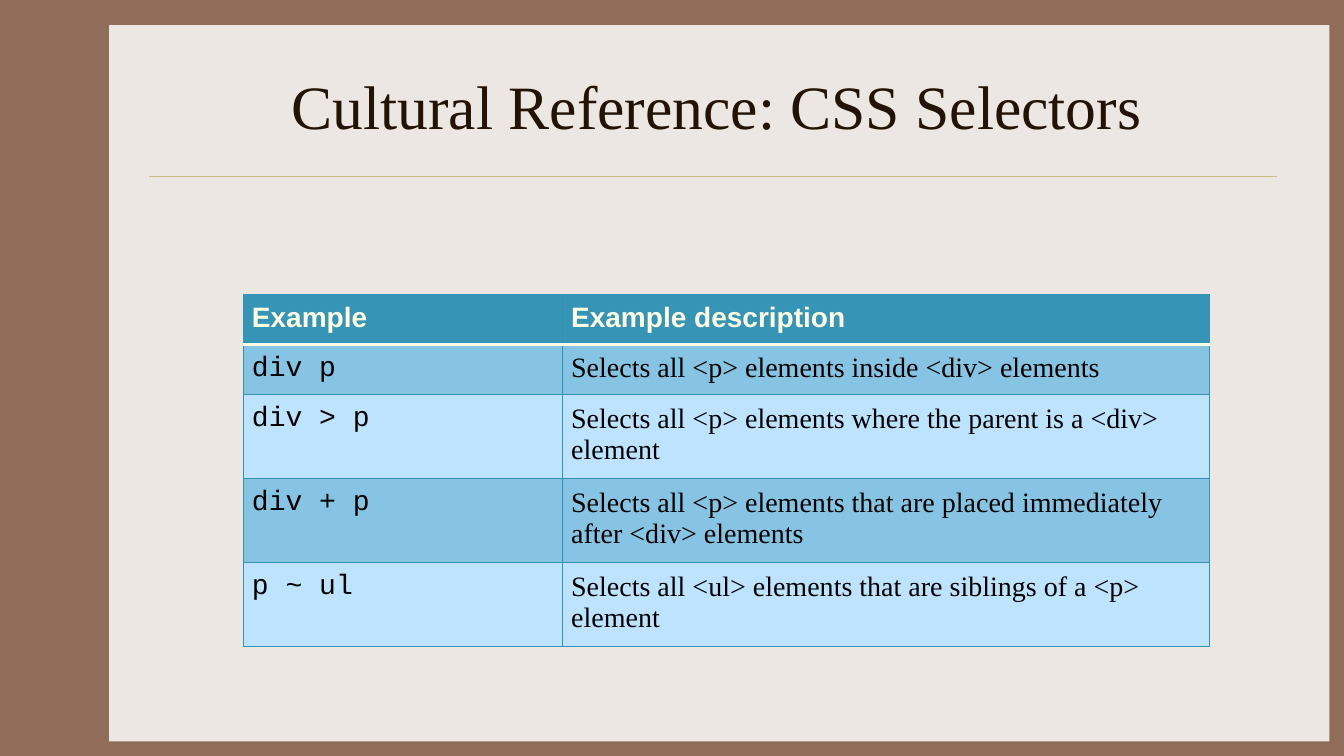
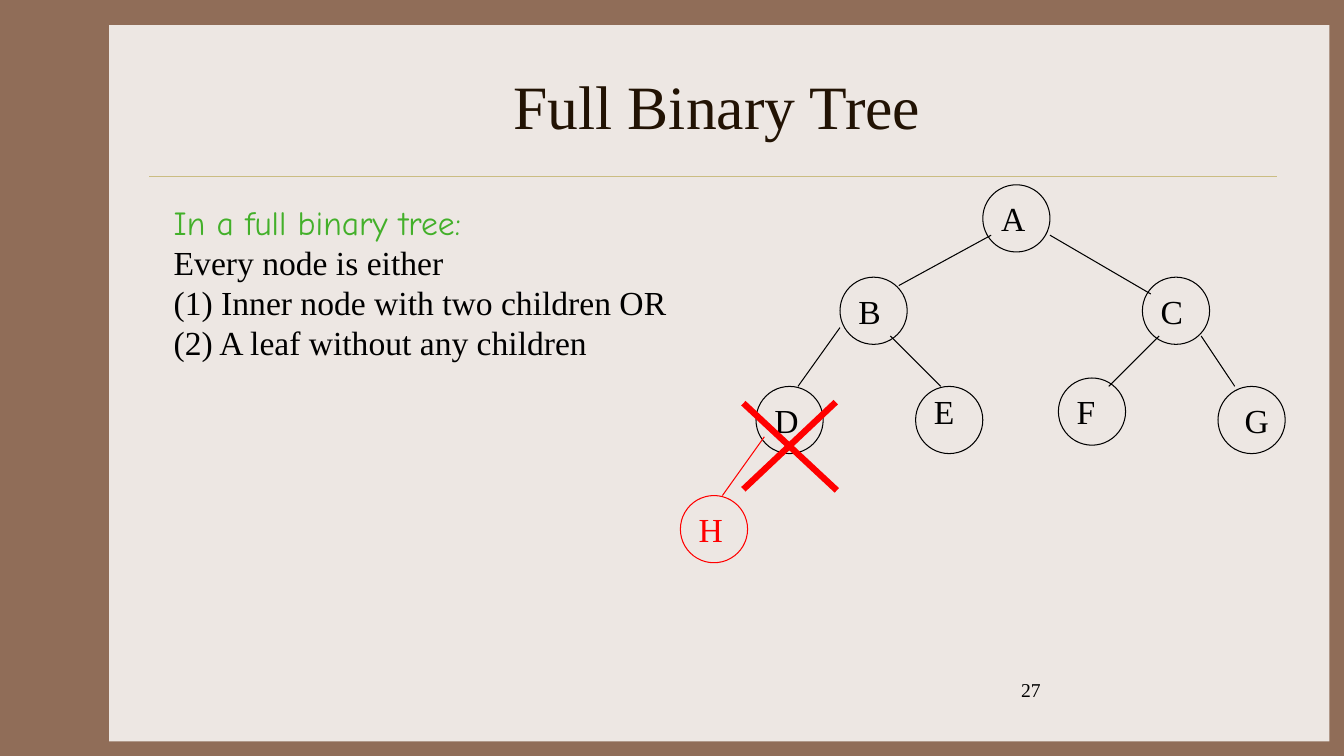
"""Builds two lecture slides: a table of CSS selectors and a full binary tree."""
from lxml import etree
from pptx import Presentation
from pptx.dml.color import RGBColor
from pptx.enum.shapes import MSO_CONNECTOR as Connector, MSO_SHAPE as Shape
from pptx.enum.text import MSO_ANCHOR as Anchor, PP_ALIGN as Align
from pptx.oxml.ns import qn
from pptx.util import Pt

PX = 9525
SERIF, SANS, MONO, HAND = "Times New Roman", "Arial", "Courier New", "Comic Neue"
COLORS = {
    name: RGBColor.from_string(value)
    for name, value in {
        "frame": "906D58", "panel": "EDE7E3", "rule": "CBBD83", "title": "221304",
        "ink": "000000", "red": "FF0000", "green": "43B02A", "cream": "FEFDE3",
        "header": "3694B6", "dark row": "87C3E2", "light row": "BDE3FF",
        "border": "3292B5",
    }.items()
}


def add_text(page, text, left, top, width, height, size, color="ink", wrap=True):
    """Add a serif text box and return its text frame."""
    box = page.shapes.add_textbox(left * PX, top * PX, width * PX, height * PX)
    frame = box.text_frame
    frame.word_wrap = wrap
    frame.text = text
    for paragraph in frame.paragraphs:
        for span in paragraph.runs:
            span.font.name = SERIF
            span.font.size = Pt(size)
            span.font.color.rgb = COLORS[color]
    return frame


def add_line(page, start_x, start_y, end_x, end_y, color="ink", weight=0.75):
    """Add a straight line without a shadow."""
    line = page.shapes.add_connector(
        Connector.STRAIGHT, start_x * PX, start_y * PX, end_x * PX, end_y * PX)
    line.line.color.rgb = COLORS[color]
    line.line.width = Pt(weight)
    etree.SubElement(line._element.spPr, qn("a:effectLst"))


deck = Presentation()
deck.slide_width, deck.slide_height = 1280 * PX, 720 * PX
background = deck.slide_master.background.fill
background.solid()
background.fore_color.rgb = COLORS["frame"]

pages = []
for title in ("Cultural Reference: CSS Selectors", "Full Binary Tree"):
    page = deck.slides.add_slide(deck.slide_layouts[6])
    panel = page.shapes.add_shape(Shape.RECTANGLE, 104 * PX, 24 * PX, 1162 * PX, 682 * PX)
    panel.shadow.inherit = False
    panel.fill.solid()
    panel.fill.fore_color.rgb = COLORS["panel"]
    panel.line.fill.background()
    add_line(page, 142, 168, 1216, 168, "rule", 0.25)
    frame = add_text(page, title, 150, 40, 1066, 120, 44, "title")
    frame.vertical_anchor = Anchor.MIDDLE
    frame.paragraphs[0].alignment = Align.CENTER
    pages.append(page)
selector_page, tree_page = pages

rows = [
    ("Example", "Example description"),
    ("div p", "Selects all <p> elements inside <div> elements"),
    ("div > p", "Selects all <p> elements where the parent is a <div> element"),
    ("div + p", "Selects all <p> elements that are placed immediately after <div> elements"),
    ("p ~ ul", "Selects all <ul> elements that are siblings of a <p> element"),
]
row_heights = (46, 46, 75, 75, 75)
table = selector_page.shapes.add_table(
    len(rows), 2, 232 * PX, 280 * PX, 920 * PX, sum(row_heights) * PX).table
for column, width in zip(table.columns, (304, 616)):
    column.width = width * PX
for row_index, texts in enumerate(rows):
    table.rows[row_index].height = row_heights[row_index] * PX
    is_header = row_index == 0
    row_fill = "header" if is_header else "dark row" if row_index % 2 else "light row"
    for column_index, text in enumerate(texts):
        cell = table.cell(row_index, column_index)
        cell.margin_left = cell.margin_right = 8 * PX
        cell.margin_top = cell.margin_bottom = 8 * PX
        cell.fill.solid()
        cell.fill.fore_color.rgb = COLORS[row_fill]
        cell.text_frame.text = text
        font = cell.text_frame.paragraphs[0].runs[0].font
        font.name = SANS if is_header else (MONO, SERIF)[column_index]
        font.size = Pt(20)
        font.bold = is_header
        font.color.rgb = COLORS["cream" if is_header else "ink"]
        for position, side in enumerate(("lnL", "lnR", "lnT", "lnB")):
            under_header = (row_index, side) in ((0, "lnB"), (1, "lnT"))
            color, weight = ("cream", 2) if under_header else ("border", 0.75)
            edge = etree.Element(qn(f"a:{side}"), w=str(Pt(weight)))
            edge_fill = etree.SubElement(edge, qn("a:solidFill"))
            etree.SubElement(edge_fill, qn("a:srgbClr"), val=str(COLORS[color]))
            cell._tc.get_or_add_tcPr().insert(position, edge)

nodes = [
    ("A", 936, 176, 8, 8, "ink"),
    ("B", 800, 264, 8, 8, "ink"),
    ("C", 1088, 264, 8, 8, "ink"),
    ("D", 720, 368, 8, 8, "ink"),
    ("E", 872, 368, 8, 0, "ink"),
    ("F", 1008, 360, 8, 8, "ink"),
    ("G", 1160, 368, 16, 8, "ink"),
    ("H", 648, 472, 8, 8, "red"),
]
for letter, left, top, label_x, label_y, color in nodes:
    circle = tree_page.shapes.add_shape(Shape.OVAL, left * PX, top * PX, 64 * PX, 64 * PX)
    circle.shadow.inherit = False
    circle.fill.background()
    circle.line.color.rgb = COLORS[color]
    circle.line.width = Pt(0.75)
    add_text(tree_page, letter, left + label_x, top + label_y, 42, 48, 24, color, wrap=False)

branches = [
    (944, 224, 856, 272),
    (1000, 224, 1096, 280),
    (800, 312, 760, 368),
    (848, 320, 896, 368),
    (1104, 320, 1056, 368),
    (1144, 320, 1176, 368),
]
for branch in branches:
    add_line(tree_page, *branch)
add_line(tree_page, 728, 416, 688, 472, "red")
for stroke in ((708, 384, 797, 467), (796, 383, 708, 466)):
    add_line(tree_page, *stroke, "red", 4.5)

definition = add_text(
    tree_page,
    "In a full binary tree:\nEvery node is either\n"
    "(1) Inner node with two children OR\n(2) A leaf without any children",
    156, 188, 576, 165, 24)
for paragraph in definition.paragraphs:
    paragraph.line_spacing = Pt(28.6)
lead = definition.paragraphs[0].runs[0].font
lead.name = HAND
lead.color.rgb = COLORS["green"]
add_text(tree_page, "27", 963, 641, 267, 48, 14)

deck.save("out.pptx")
